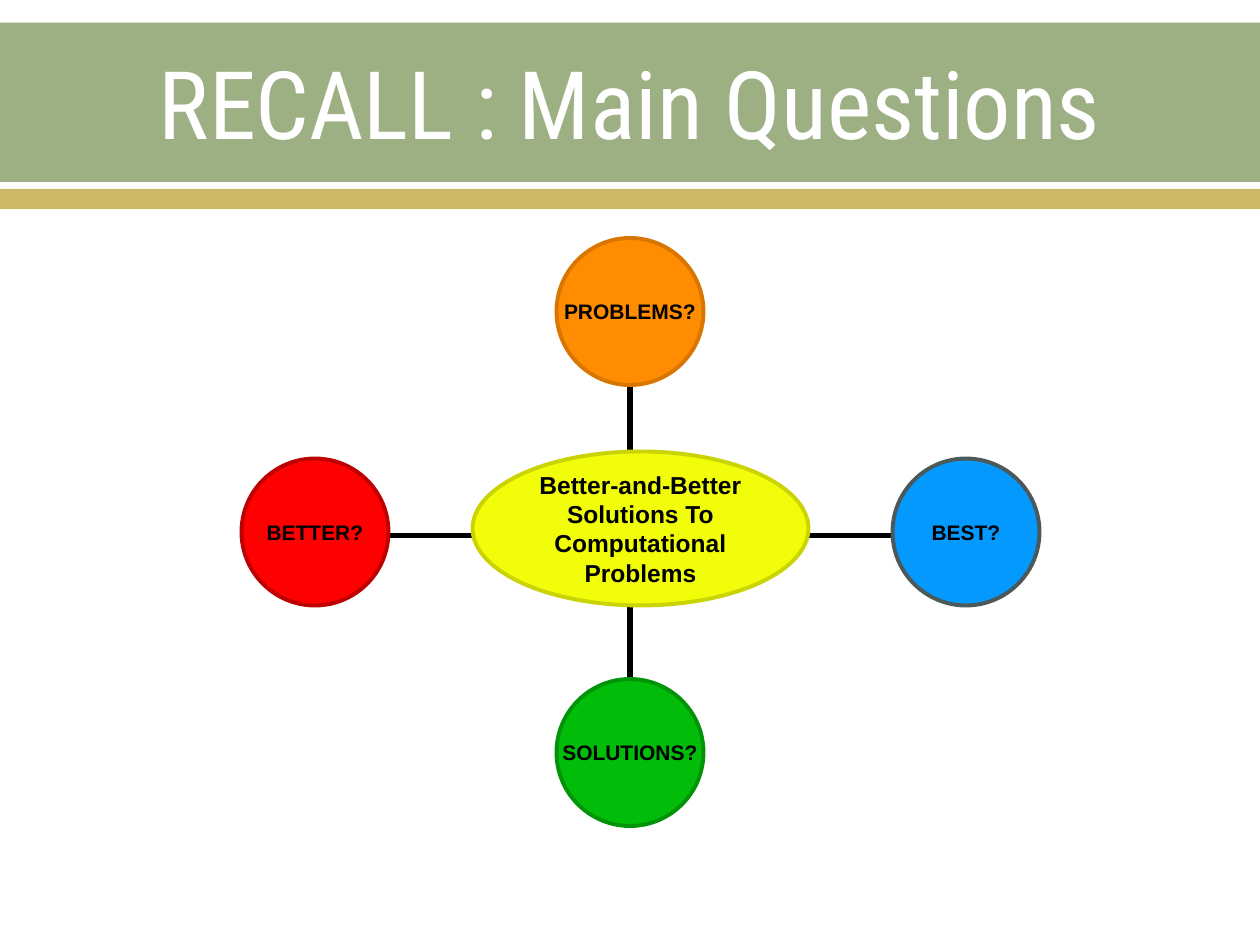
from pptx import Presentation
from pptx.dml.color import RGBColor
from pptx.enum import shapes, text
from pptx.oxml.ns import qn
from pptx.util import Pt
from lxml import etree

COLORS = {
    "white": "FFFFFF", "black": "000000", "band": "9CB084", "stripe": "CEB966",
    "hub": "F1FD09", "hub_edge": "CAD402",
    "better": "FF0000", "better_edge": "BE0000",
    "solutions": "01BD0A", "solutions_edge": "019308",
    "best": "0399FF", "best_edge": "4B595B",
    "problems": "FF8C01", "problems_edge": "D87600",
}


def color(name):
    return RGBColor.from_string(COLORS[name])


def add_filled(kind, left, top, width, height, fill, edge=None, label="", size=12, wrap=False):
    shape = slide.shapes.add_shape(kind, Pt(left), Pt(top), Pt(width), Pt(height))
    shape.shadow.inherit = False
    shape.fill.solid()
    shape.fill.fore_color.rgb = color(fill)
    if not edge:
        shape.line.fill.background()
        return
    shape.line.color.rgb = color(edge)
    shape.line.width = Pt(2.25)
    frame = shape.text_frame
    frame.margin_left = frame.margin_right = frame.margin_top = frame.margin_bottom = 0
    frame.word_wrap = wrap
    frame.vertical_anchor = text.MSO_ANCHOR.MIDDLE
    frame.text = label
    paragraph = frame.paragraphs[0]
    paragraph.alignment = text.PP_ALIGN.CENTER
    paragraph.font.name = "Arial"
    paragraph.font.size = Pt(size)
    paragraph.font.bold = True
    paragraph.font.color.rgb = color("black")


prs = Presentation()
prs.slide_width, prs.slide_height = Pt(720), Pt(540)
slide = prs.slides.add_slide(prs.slide_layouts[5])
RECT = shapes.MSO_SHAPE.RECTANGLE
OVAL = shapes.MSO_SHAPE.OVAL

# Header bands
add_filled(RECT, 0, 13, 720, 91, "band")
add_filled(RECT, 0, 108, 720, 11.5, "stripe")

# Title, brought in front of the bands
title = slide.shapes.title
title.left, title.top, title.width, title.height = Pt(36), Pt(14.4), Pt(648), Pt(88)
title.text_frame.text = "RECALL : Main Questions"
title.text_frame.vertical_anchor = text.MSO_ANCHOR.MIDDLE
heading = title.text_frame.paragraphs[0]
heading.alignment = text.PP_ALIGN.CENTER
heading.font.name = "Roboto Condensed"
heading.font.size = Pt(54)
heading.font.color.rgb = color("white")
slide.shapes._spTree.append(title._element)

# Questions around the hub: name, circle centre, spoke start and end
DIAMETER = 84
questions = [
    ("better", 180, 304, (270, 306), (222, 306)),
    ("solutions", 360, 430, (360, 346), (360, 388)),
    ("best", 552, 304, (462, 306), (510, 306)),
    ("problems", 360, 178, (360, 262), (360, 220)),
]
for name, center_x, center_y, start, end in questions:
    spoke = slide.shapes.add_connector(
        shapes.MSO_CONNECTOR.STRAIGHT, *(Pt(value) for value in start + end))
    spoke.line.color.rgb = color("black")
    spoke.line.width = Pt(3)
    etree.SubElement(spoke._element.spPr, qn("a:effectLst"))
    add_filled(OVAL, center_x - DIAMETER / 2, center_y - DIAMETER / 2, DIAMETER, DIAMETER,
               name, name + "_edge", name.upper() + "?")

# Hub
add_filled(OVAL, 270, 258, 192, 88, "hub", "hub_edge",
           "Better-and-Better Solutions To Computational Problems", size=14, wrap=True)

prs.save("out.pptx")
